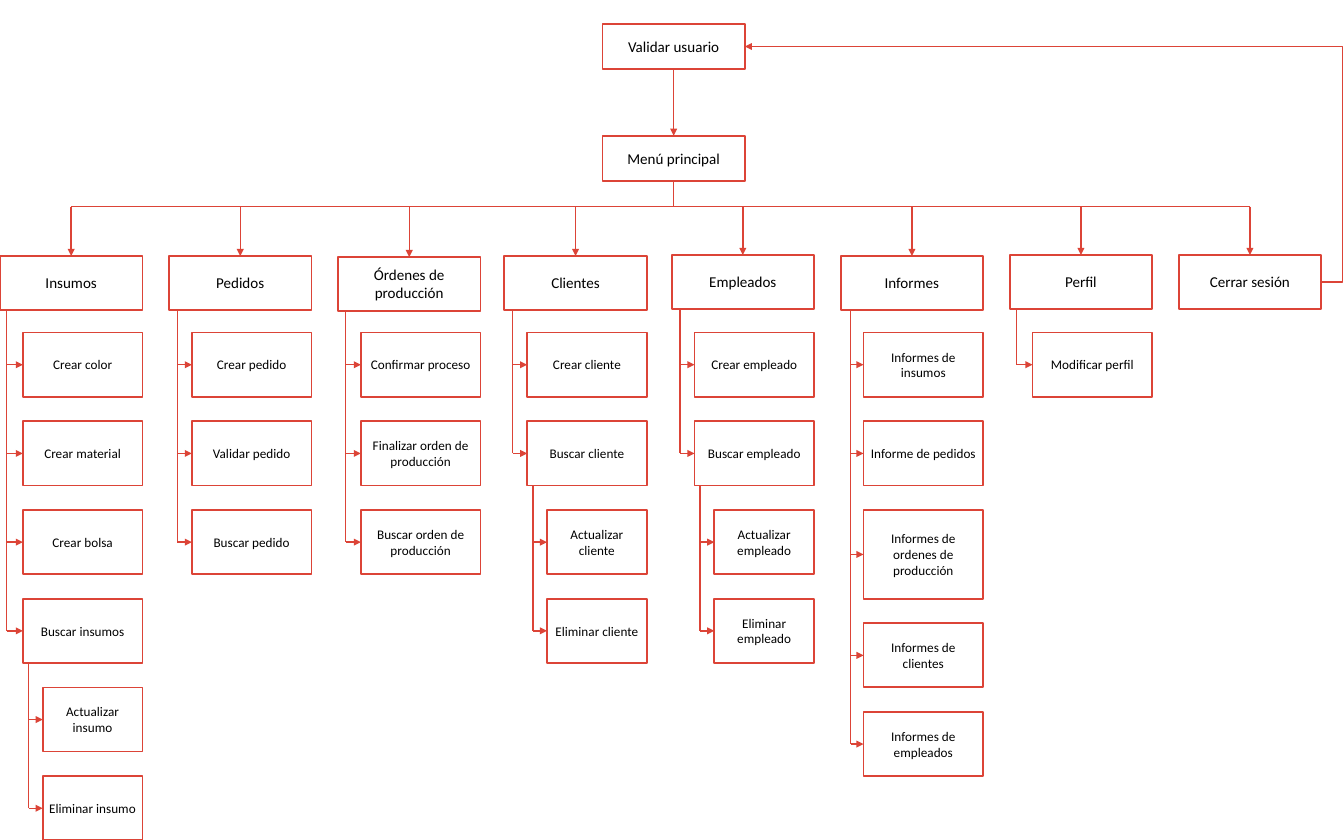
from dataclasses import dataclass

from pptx import Presentation
from pptx.dml.color import RGBColor
from pptx.enum.shapes import MSO_CONNECTOR, MSO_SHAPE
from pptx.enum.text import MSO_ANCHOR, PP_ALIGN
from pptx.oxml.ns import qn
from pptx.shapes.autoshape import Shape
from pptx.shapes.connector import Connector
from pptx.slide import Slide
from pptx.util import Cm, Pt
from lxml import etree

RECT = MSO_SHAPE.RECTANGLE
STRAIGHT, ELBOW = MSO_CONNECTOR.STRAIGHT, MSO_CONNECTOR.ELBOW
MIDDLE, CENTER = MSO_ANCHOR.MIDDLE, PP_ALIGN.CENTER

RED = RGBColor(0xDC, 0x44, 0x37)
BLACK = RGBColor(0x00, 0x00, 0x00)
FONT = "Calibri"
HEAD_SIZE, ITEM_SIZE = Pt(12.7), Pt(11.1)

HEAD_W, ROOT_H, MODULE_H = Cm(4.24), Cm(1.35), Cm(1.6)
ITEM_W, SUBITEM_W, ITEM_H = Cm(3.56), Cm(2.97), Cm(1.91)
TALL_ITEMS = {"Informes de ordenes de producción": Cm(2.64)}
ROOT_LEFT = Cm(17.93)
BUS_Y = Cm(6.15)
ITEMS_TOP, ITEM_GAP = Cm(9.9), Cm(0.73)
SUBRAIL_INSET = Cm(0.17)


@dataclass(frozen=True)
class Module:
    """A menu module: its place in cm, its actions and the last action's own actions."""
    label: str
    left: float
    top: float
    rail: float = 0.25
    items: tuple[str, ...] = ()
    subitems: tuple[str, ...] = ()


MODULES = (
    Module("Insumos", 0, 7.62, 0.2,
           ("Crear color", "Crear material", "Crear bolsa", "Buscar insumos"),
           ("Actualizar insumo", "Eliminar insumo")),
    Module("Pedidos", 5.03, 7.62, 0.25,
           ("Crear pedido", "Validar pedido", "Buscar pedido")),
    Module("Órdenes de producción", 10.06, 7.65, 0.23,
           ("Confirmar proceso", "Finalizar orden de producción",
            "Buscar orden de producción")),
    Module("Clientes", 15.01, 7.62, 0.25,
           ("Crear cliente", "Buscar cliente"),
           ("Actualizar cliente", "Eliminar cliente")),
    Module("Empleados", 19.99, 7.59, 0.25,
           ("Crear empleado", "Buscar empleado"),
           ("Actualizar empleado", "Eliminar empleado")),
    Module("Informes", 25.02, 7.62, 0.3,
           ("Informes de insumos", "Informe de pedidos",
            "Informes de ordenes de producción", "Informes de clientes",
            "Informes de empleados")),
    Module("Perfil", 30.05, 7.59, 0.2, ("Modificar perfil",)),
    Module("Cerrar sesión", 35.08, 7.59),
)


def center_x(sp: Shape) -> int:
    """Return the horizontal centre of a box."""
    return sp.left + sp.width // 2


def center_y(sp: Shape) -> int:
    """Return the vertical centre of a box."""
    return sp.top + sp.height // 2


def bottom(sp: Shape) -> int:
    """Return the lower edge of a box."""
    return sp.top + sp.height


def add_box(s: Slide, label: str, left: int, top: int, width: int, height: int,
            size: int) -> Shape:
    """Draw an outlined box with centred text."""
    sp = s.shapes.add_shape(RECT, left, top, width, height)
    sp.shadow.inherit = False
    sp.fill.background()
    sp.line.color.rgb = RED
    sp.line.width = Pt(1.5)
    tf = sp.text_frame
    tf.word_wrap = True
    tf.vertical_anchor = MIDDLE
    tf.margin_left = tf.margin_right = Cm(0.19)
    tf.margin_top = tf.margin_bottom = Cm(0.1)
    tf.text = label
    p = tf.paragraphs[0]
    p.alignment = CENTER
    font = p.runs[0].font
    font.name, font.size, font.color.rgb = FONT, size, BLACK
    return sp


def add_line(s: Slide, x1: int, y1: int, x2: int, y2: int, arrow: bool = False,
             kind: MSO_CONNECTOR = STRAIGHT) -> Connector:
    """Draw a connector, with an arrowhead at its end if asked."""
    line = s.shapes.add_connector(kind, x1, y1, x2, y2)
    line.line.color.rgb = RED
    line.line.width = Pt(1.25)
    if arrow:
        etree.SubElement(line.line._get_or_add_ln(), qn("a:tailEnd"), type="triangle")
    etree.SubElement(line._element.spPr, qn("a:effectLst"))
    return line


def add_branch(s: Slide, parent: Shape, labels: tuple[str, ...], top: int,
               width: int, rail_x: int, right: int) -> Shape:
    """Hang a column of boxes from a rail below the parent; return the last box."""
    sp = parent
    for label in labels:
        height = TALL_ITEMS.get(label, ITEM_H)
        sp = add_box(s, label, right - width, top, width, height, ITEM_SIZE)
        add_line(s, rail_x, center_y(sp), sp.left, center_y(sp), arrow=True)
        top += height + ITEM_GAP
    add_line(s, rail_x, bottom(parent), rail_x, center_y(sp))
    return sp


def add_module(s: Slide, module: Module) -> Shape:
    """Draw a module under the bus with all its actions; return its head box."""
    head = add_box(s, module.label, Cm(module.left), Cm(module.top), HEAD_W, MODULE_H,
                   HEAD_SIZE)
    add_line(s, center_x(head), BUS_Y, center_x(head), head.top, arrow=True)
    right = head.left + HEAD_W
    if module.items:
        last = add_branch(s, head, module.items, ITEMS_TOP, ITEM_W,
                          head.left + Cm(module.rail), right)
        if module.subitems:
            add_branch(s, last, module.subitems, bottom(last) + ITEM_GAP, SUBITEM_W,
                       last.left + SUBRAIL_INSET, right)
    return head


def add_return(s: Slide, start: Shape, end: Shape) -> None:
    """Lead an elbow arrow from the right of one box round to the right of another."""
    line = add_line(s, start.left + start.width, center_y(start),
                    end.left + end.width, center_y(end), arrow=True, kind=ELBOW)
    geom = line._element.spPr.find(qn("a:prstGeom"))
    guides = geom.find(qn("a:avLst"))
    if guides is None:
        guides = etree.SubElement(geom, qn("a:avLst"))
    etree.SubElement(guides, qn("a:gd"), name="adj1", fmla="val -3700")


def main() -> None:
    """Build the navigation map and save it."""
    prs = Presentation()
    prs.slide_width, prs.slide_height = Cm(40), Cm(25)
    s = prs.slides.add_slide(prs.slide_layouts[6])

    login = add_box(s, "Validar usuario", ROOT_LEFT, Cm(0.71), HEAD_W, ROOT_H, HEAD_SIZE)
    menu = add_box(s, "Menú principal", ROOT_LEFT, Cm(4.04), HEAD_W, ROOT_H, HEAD_SIZE)
    add_line(s, center_x(login), bottom(login), center_x(menu), menu.top, arrow=True)
    add_line(s, center_x(menu), bottom(menu), center_x(menu), BUS_Y)

    heads = [add_module(s, module) for module in MODULES]
    add_line(s, center_x(heads[0]), BUS_Y, center_x(heads[-1]), BUS_Y)
    add_return(s, heads[-1], login)
    prs.save("out.pptx")


main()
